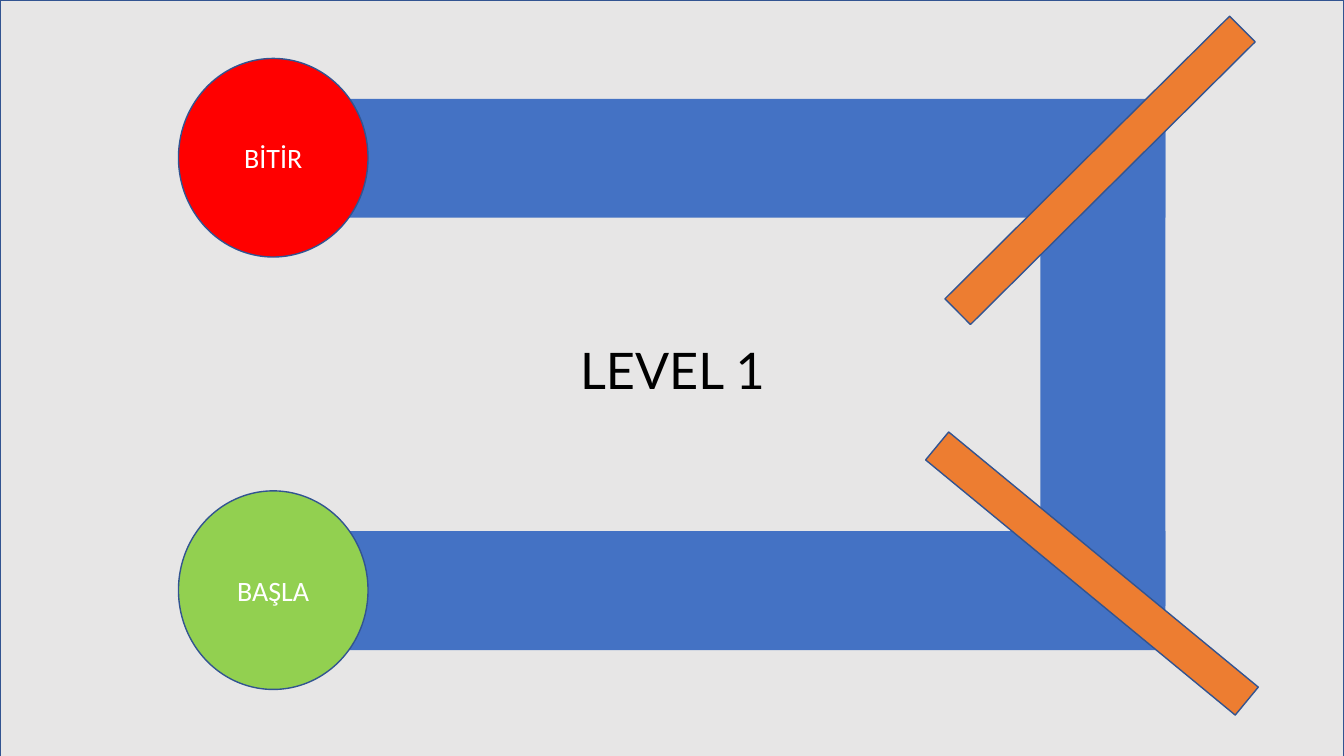
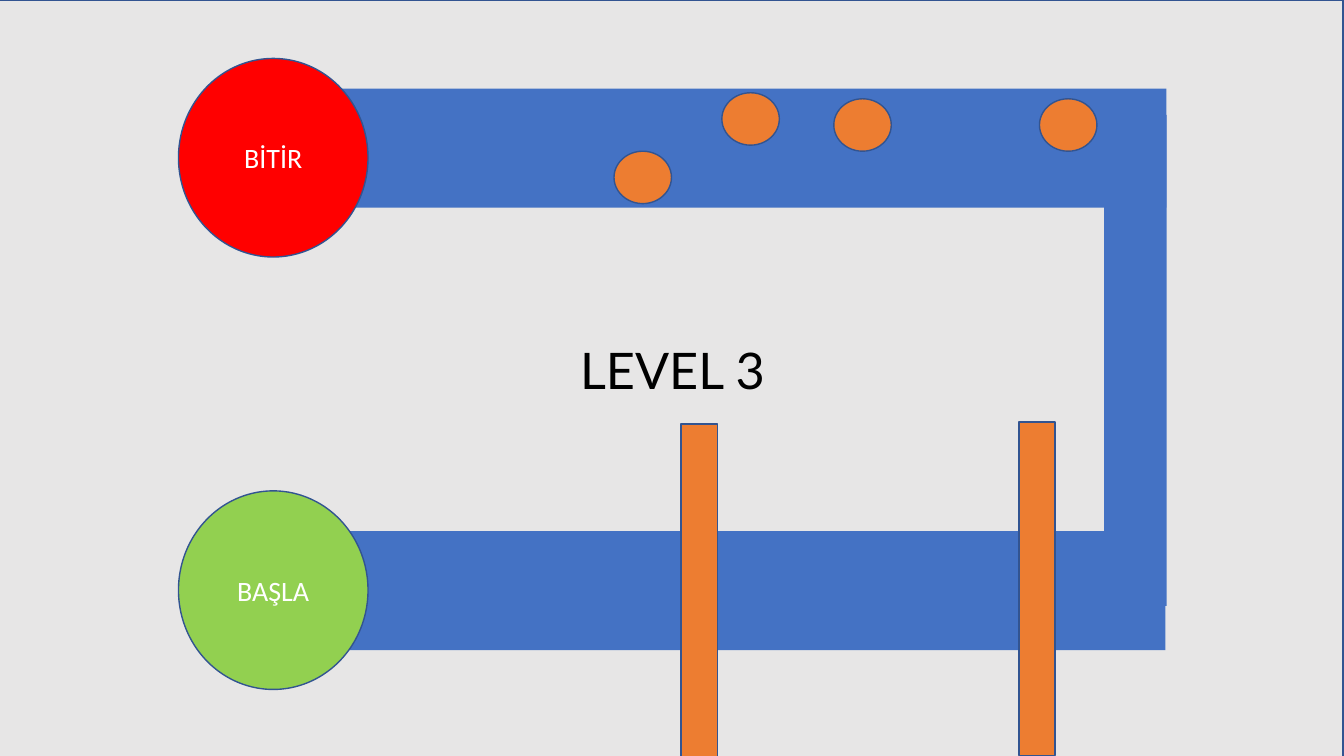
"""Build two maze-game level slides."""
from pptx import Presentation
from pptx.dml.color import RGBColor
from pptx.enum.shapes import MSO_SHAPE
from pptx.enum.text import MSO_ANCHOR, MSO_AUTO_SIZE, PP_ALIGN
from pptx.util import Inches, Pt

GREY, BLUE, ORANGE, OUTLINE = "E7E6E6", "4472C4", "ED7D31", "325491"
RED, GREEN, WHITE, BLACK = "FF0000", "92D050", "FFFFFF", "000000"

TRACK_HEIGHT = 1.18
BAR_THICKNESS = 0.36
BALL_SIZE = (0.57, 0.52)
TITLE_BOX = (4.36, 3.31, 4.62, 0.71)
LOWER_TRACK = (3.33, 5.27, 8.23, TRACK_HEIGHT)
GOALS = [("BİTİR", 0.58, RED), ("BAŞLA", 4.87, GREEN)]

LEVELS = [
    {
        "title": "LEVEL 1",
        "frame_left": 0,
        "tracks": [(10.32, 1.14, 1.24, 4.87), (3.02, 0.98, 8.54, TRACK_HEIGHT)],
        "bars": [(8.84, 5.51, 3.98, 39.5), (8.92, 1.51, 3.98, 135.2)],
        "balls": [],
    },
    {
        "title": "LEVEL 3",
        "frame_left": -0.01,
        "tracks": [(10.95, 1.14, 0.62, 4.87), (3.03, 0.88, 8.54, TRACK_HEIGHT)],
        "bars": [(5.28, 5.68, 3.31, 90), (8.63, 5.66, 3.31, 90)],
        "balls": [(10.31, 0.98), (8.27, 0.98), (7.16, 0.92), (6.09, 1.5)],
    },
]


def color(value):
    """Turn a hex string into a colour."""
    return RGBColor.from_string(value)


def write(shape, text, size, font, ink, anchor=MSO_ANCHOR.MIDDLE):
    """Put one centred line of formatted text into a shape."""
    frame = shape.text_frame
    frame.word_wrap = True
    frame.auto_size = MSO_AUTO_SIZE.NONE
    frame.vertical_anchor = anchor
    paragraph = frame.paragraphs[0]
    paragraph.alignment = PP_ALIGN.CENTER
    run = paragraph.add_run()
    run.text = text
    run.font.size = Pt(size)
    run.font.name = font
    run.font.color.rgb = color(ink)


def add_shape(slide, kind, box, fill=None, line=OUTLINE, rotation=0):
    """Add a flat preset shape; None leaves fill or line off."""
    shape = slide.shapes.add_shape(kind, *map(Inches, box))
    shape.shadow.inherit = False
    shape.rotation = rotation
    if fill:
        shape.fill.solid()
        shape.fill.fore_color.rgb = color(fill)
    else:
        shape.fill.background()
    if line:
        shape.line.color.rgb = color(line)
        shape.line.width = Pt(1)
    else:
        shape.line.fill.background()
    return shape


def add_title(slide, text):
    """Place the level name in the title placeholder."""
    title = slide.shapes.title
    title.left, title.top, title.width, title.height = map(Inches, TITLE_BOX)
    write(title, text, size=36, font="Lato", ink=BLACK, anchor=MSO_ANCHOR.TOP)


def build_level(presentation, level):
    """Draw one level with its tracks, goals and obstacles."""
    slide = presentation.slides.add_slide(presentation.slide_layouts[5])
    slide.background.fill.solid()
    slide.background.fill.fore_color.rgb = color(GREY)
    add_title(slide, level["title"])
    add_shape(slide, MSO_SHAPE.RECTANGLE, (level["frame_left"], 0, 13.33, 7.59))
    for box in [LOWER_TRACK, *level["tracks"]]:
        add_shape(slide, MSO_SHAPE.RECTANGLE, box, fill=BLUE, line=None)
    for label, top, fill in GOALS:
        goal = add_shape(slide, MSO_SHAPE.OVAL, (1.77, top, 1.88, 1.97), fill=fill)
        write(goal, label, size=20, font="Calibri", ink=WHITE)
    for left, top, length, rotation in level["bars"]:
        add_shape(slide, MSO_SHAPE.RECTANGLE, (left, top, length, BAR_THICKNESS),
                  fill=ORANGE, rotation=rotation)
    for position in level["balls"]:
        add_shape(slide, MSO_SHAPE.OVAL, (*position, *BALL_SIZE), fill=ORANGE)


def main():
    """Build and save the presentation."""
    presentation = Presentation()
    presentation.slide_width = Inches(13.33)
    presentation.slide_height = Inches(7.5)
    for level in LEVELS:
        build_level(presentation, level)
    presentation.save("out.pptx")


if __name__ == "__main__":
    main()
